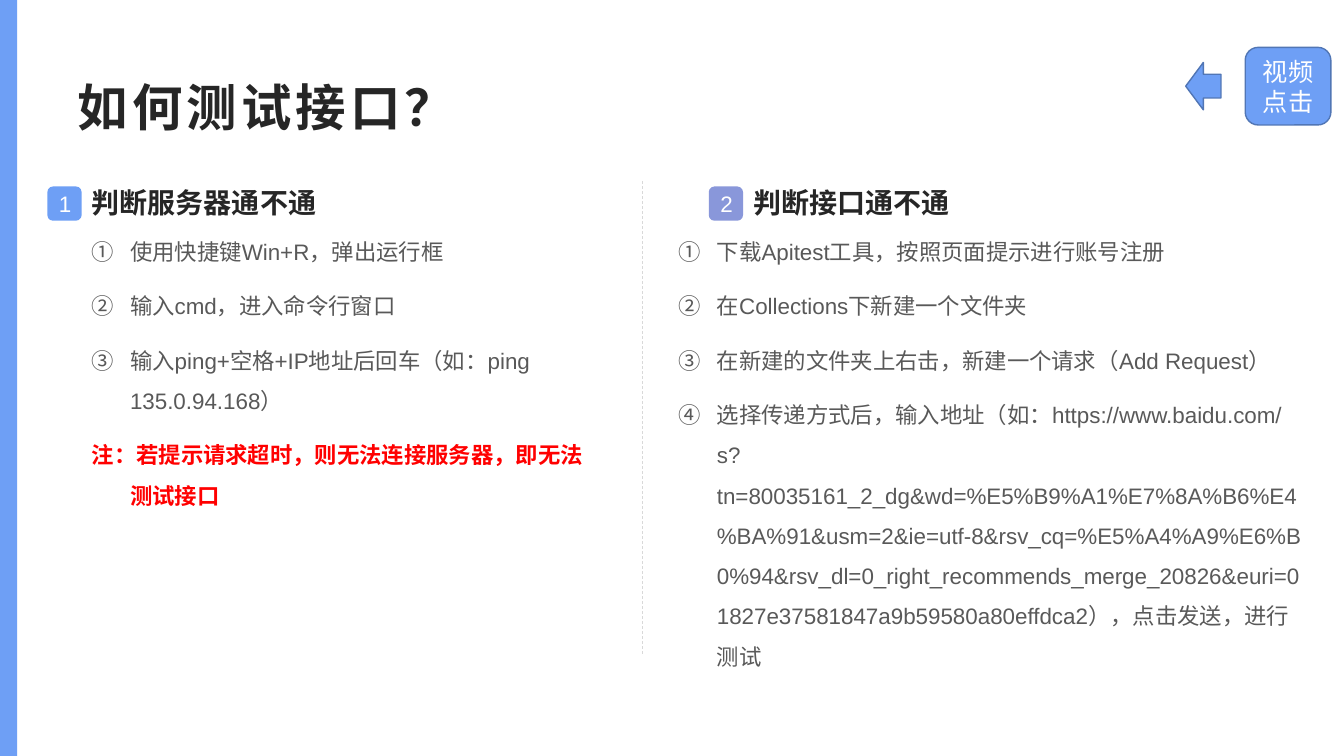
from lxml.etree import SubElement
from pptx import Presentation
from pptx.dml.color import RGBColor
from pptx.enum.dml import MSO_LINE
from pptx.enum.shapes import MSO_CONNECTOR, MSO_SHAPE
from pptx.enum.text import MSO_ANCHOR, MSO_AUTO_SIZE, PP_ALIGN
from pptx.oxml.ns import qn
from pptx.util import Inches, Pt

WHITE = RGBColor(0xFF, 0xFF, 0xFF)
BLUE = RGBColor(0x6E, 0x9F, 0xF5)
VIOLET = RGBColor(0x89, 0x97, 0xDA)
OUTLINE = RGBColor(0x51, 0x76, 0xB5)
DIVIDER = RGBColor(0xD9, 0xD9, 0xD9)
DARK = RGBColor(0x26, 0x26, 0x26)
GRAY = RGBColor(0x59, 0x59, 0x59)
RED = RGBColor(0xFF, 0x00, 0x00)

TITLE = {"size": Pt(36), "bold": True, "color": DARK}
HEADING = {"size": Pt(20), "bold": True, "color": DARK}
STEP = {"size": Pt(16), "bold": False, "color": GRAY}
NOTE = {"size": Pt(16), "bold": True, "color": RED}
BADGE = {"size": Pt(16), "color": WHITE}
BUTTON = {"size": Pt(18), "color": WHITE}

SERVER_STEPS = [
    "使用快捷键Win+R，弹出运行框",
    "输入cmd，进入命令行窗口",
    "输入ping+空格+IP地址后回车（如：ping 135.0.94.168）",
]
SERVER_NOTE = "注：若提示请求超时，则无法连接服务器，即无法测试接口"
INTERFACE_STEPS = [
    "下载Apitest工具，按照页面提示进行账号注册",
    "在Collections下新建一个文件夹",
    "在新建的文件夹上右击，新建一个请求（Add Request）",
    "选择传递方式后，输入地址（如：https://www.baidu.com/s?tn=80035161_2_dg"
    "&wd=%E5%B9%A1%E7%8A%B6%E4%BA%91&usm=2&ie=utf-8&rsv_cq=%E5%A4%A9%E6%B0%94"
    "&rsv_dl=0_right_recommends_merge_20826&euri=01827e37581847a9b59580a80effdca2"
    "），点击发送，进行测试",
]


def add_run(paragraph, text, style):
    run = paragraph.add_run()
    run.text = text
    run.font.name = "Arial"
    for name, value in style.items():
        if name == "color":
            run.font.color.rgb = value
        else:
            setattr(run.font, name, value)
    return run


def place(shape, left, top, width, height):
    bounds = {"left": left, "top": top, "width": width, "height": height}
    for name, value in bounds.items():
        setattr(shape, name, Inches(value))


def fill_line(placeholder, bounds, text, style, anchor):
    """Move a placeholder and give it one left-aligned line of text."""
    place(placeholder, *bounds)
    frame = placeholder.text_frame
    frame.auto_size = MSO_AUTO_SIZE.NONE
    frame.vertical_anchor = anchor
    paragraph = frame.paragraphs[0]
    paragraph.alignment = PP_ALIGN.LEFT
    paragraph.space_before = Pt(0)
    return add_run(paragraph, text, style)


def fill_steps(placeholder, bounds, steps, note=None):
    """Move a placeholder and fill it with circled-number steps and a note."""
    place(placeholder, *bounds)
    frame = placeholder.text_frame
    frame.auto_size = MSO_AUTO_SIZE.NONE
    entries = [(step, STEP) for step in steps]
    if note:
        entries.append((note, NOTE))
    for index, (text, style) in enumerate(entries):
        paragraph = frame.add_paragraph() if index else frame.paragraphs[0]
        properties = paragraph._p.get_or_add_pPr()
        properties.set("marL", str(Inches(0.38)))
        properties.set("indent", str(-Inches(0.38)))
        if style is NOTE:
            SubElement(properties, qn("a:buNone"))
        else:
            SubElement(properties, qn("a:buAutoNum"), type="circleNumDbPlain")
        paragraph.line_spacing = 1.5
        paragraph.space_before = Pt(10 if index else 0)
        add_run(paragraph, text, style)


def add_block(slide, kind, bounds, color, outline=None, text=None, style=None):
    shape = slide.shapes.add_shape(kind, *map(Inches, bounds))
    shape.shadow.inherit = False
    shape.fill.solid()
    shape.fill.fore_color.rgb = color
    if outline:
        shape.line.color.rgb = outline
        shape.line.width = Pt(1)
    else:
        shape.line.fill.background()
    if text:
        shape.text_frame.vertical_anchor = MSO_ANCHOR.MIDDLE
        paragraph = shape.text_frame.paragraphs[0]
        paragraph.alignment = PP_ALIGN.CENTER
        add_run(paragraph, text, style)


def add_divider(slide, x, top, bottom):
    line = slide.shapes.add_connector(
        MSO_CONNECTOR.STRAIGHT, Inches(x), Inches(top), Inches(x), Inches(bottom))
    line.line.color.rgb = DIVIDER
    line.line.width = Pt(0.5)
    line.line.dash_style = MSO_LINE.DASH
    SubElement(line._element.spPr, qn("a:effectLst"))


def main():
    presentation = Presentation()
    presentation.slide_width = Inches(13.33)
    presentation.slide_height = Inches(7.5)
    comparison_layout = presentation.slide_layouts[4]
    slide = presentation.slides.add_slide(comparison_layout)
    slide.background.fill.solid()
    slide.background.fill.fore_color.rgb = WHITE
    title, left_heading, left_body, right_heading, right_body = slide.placeholders

    title_run = fill_line(title, (0.67, 0.67, 12, 0.77), "如何测试接口？",
                          TITLE, MSO_ANCHOR.MIDDLE)
    title_run.font._element.set("spc", "300")

    columns = [
        (left_heading, 0.81, "判断服务器通不通", BLUE),
        (right_heading, 7.37, "判断接口通不通", VIOLET),
    ]
    for number, (heading, left, text, color) in enumerate(columns, start=1):
        fill_line(heading, (left, 1.79, 5.29, 0.46), text, HEADING, MSO_ANCHOR.TOP)
        add_block(slide, MSO_SHAPE.ROUNDED_RECTANGLE, (left - 0.34, 1.85, 0.34, 0.34),
                  color, text=str(number), style=BADGE)
    fill_steps(left_body, (0.81, 2.18, 5.29, 4.46), SERVER_STEPS, SERVER_NOTE)
    fill_steps(right_body, (6.63, 2.18, 6.4, 4.46), INTERFACE_STEPS)

    add_divider(slide, 6.37, 1.8, 6.49)
    add_block(slide, MSO_SHAPE.RECTANGLE, (0, 0, 0.17, 7.5), BLUE)
    add_block(slide, MSO_SHAPE.ROUNDED_RECTANGLE, (12.35, 0.47, 0.85, 0.77),
              BLUE, OUTLINE, "视频点击", BUTTON)
    add_block(slide, MSO_SHAPE.LEFT_ARROW, (11.76, 0.62, 0.35, 0.47), BLUE, OUTLINE)
    presentation.save("out.pptx")


if __name__ == "__main__":
    main()
